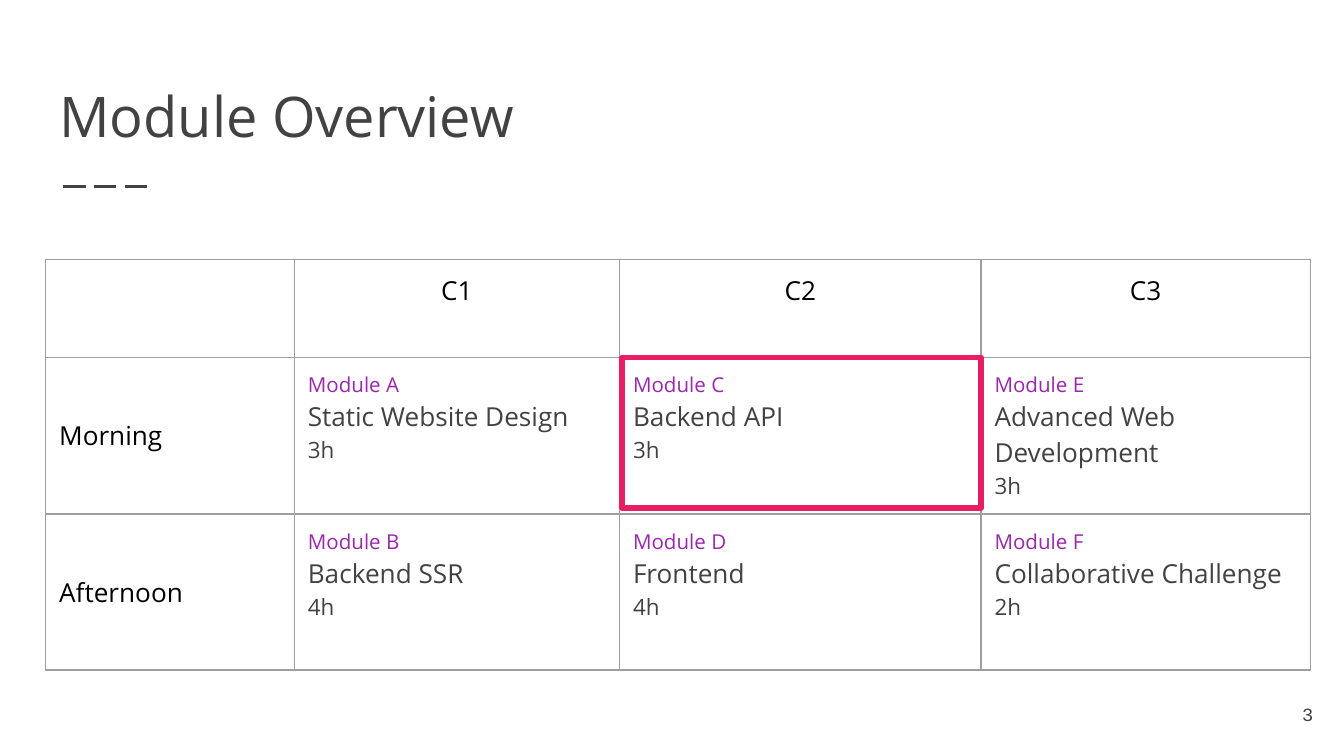
from lxml import etree
from pptx import Presentation
from pptx import util as u
from pptx.dml.color import RGBColor
from pptx.enum import dml, shapes, text
from pptx.oxml import ns

COLORS = {"ink": "424242", "black": "000000", "module": "9C26B0",
          "grid": "9E9E9E", "highlight": "E91D63"}
FONT = "Open Sans"
COURSES = ["C1", "C2", "C3"]
SCHEDULE = {
    "Morning": [("Module A", "Static Website Design", "3h"),
                ("Module C", "Backend API", "3h"),
                ("Module E", "Advanced Web Development", "3h")],
    "Afternoon": [("Module B", "Backend SSR", "4h"),
                  ("Module D", "Frontend", "4h"),
                  ("Module F", "Collaborative Challenge", "2h")],
}
COLUMN_WIDTHS = [1.85, 2.42, 2.69, 2.45]
ROW_HEIGHTS = [0.73, 1.16, 1.16]


def rgb(name):
    """Return the named colour."""
    return RGBColor.from_string(COLORS[name])


def format_paragraph(paragraph, size, color, font=FONT, align=text.PP_ALIGN.LEFT):
    """Format every run of a paragraph."""
    paragraph.alignment = align
    for run in paragraph.runs:
        run.font.size = u.Pt(size)
        run.font.name = font
        run.font.color.rgb = rgb(color)


def set_insets(frame):
    """Give a text frame or table cell equal margins."""
    frame.margin_left = frame.margin_right = u.Inches(0.1)
    frame.margin_top = frame.margin_bottom = u.Inches(0.1)


def remove_shadow(connector):
    """Override the theme shadow of a connector."""
    etree.SubElement(connector._element.spPr, ns.qn("a:effectLst"))


def format_cell(cell):
    """Clear the fill of a cell and draw its four borders."""
    set_insets(cell)
    cell.fill.background()
    properties = cell._tc.get_or_add_tcPr()
    for position, side in enumerate(["lnL", "lnR", "lnT", "lnB"]):
        border = etree.Element(ns.qn(f"a:{side}"), w=str(u.Pt(0.75)))
        fill = etree.SubElement(border, ns.qn("a:solidFill"))
        etree.SubElement(fill, ns.qn("a:srgbClr"), val=COLORS["grid"])
        properties.insert(position, border)


def add_heading(slide, left, top, width, height):
    """Place the title and the dashed rule below it."""
    title = slide.shapes.title
    title.left, title.top = u.Inches(left), u.Inches(top)
    title.width, title.height = u.Inches(width), u.Inches(height)
    frame = title.text_frame
    frame.text = "Module Overview"
    frame.auto_size = text.MSO_AUTO_SIZE.NONE
    frame.vertical_anchor = text.MSO_ANCHOR.BOTTOM
    set_insets(frame)
    format_paragraph(frame.paragraphs[0], 30, "ink")

    rule_y = u.Inches(top + height + 0.18)
    rule = slide.shapes.add_connector(
        shapes.MSO_CONNECTOR.STRAIGHT, u.Inches(left + 0.13), rule_y,
        u.Inches(left + 0.8), rule_y)
    rule.line.color.rgb = rgb("ink")
    rule.line.width = u.Pt(1.5)
    rule.line.dash_style = dml.MSO_LINE.LONG_DASH
    remove_shadow(rule)


def add_schedule(slide, left, top):
    """Place the timetable and outline the current module."""
    schedule = slide.shapes.add_table(
        len(ROW_HEIGHTS), len(COLUMN_WIDTHS), u.Inches(left), u.Inches(top),
        u.Inches(sum(COLUMN_WIDTHS)), u.Inches(sum(ROW_HEIGHTS))).table
    schedule.first_row = schedule.horz_banding = False
    for column, width in zip(schedule.columns, COLUMN_WIDTHS):
        column.width = u.Inches(width)
    for row, height in zip(schedule.rows, ROW_HEIGHTS):
        row.height = u.Inches(height)
    for cell in schedule.iter_cells():
        format_cell(cell)

    for column, course in enumerate(COURSES, 1):
        heading = schedule.cell(0, column).text_frame
        heading.text = course
        format_paragraph(heading.paragraphs[0], 14, "black", align=text.PP_ALIGN.CENTER)

    for row, (session, modules) in enumerate(SCHEDULE.items(), 1):
        label = schedule.cell(row, 0)
        label.text_frame.text = session
        label.vertical_anchor = text.MSO_ANCHOR.MIDDLE
        format_paragraph(label.text_frame.paragraphs[0], 14, "black")
        for column, module in enumerate(modules, 1):
            details = schedule.cell(row, column).text_frame
            details.text = "\n".join(module)
            styles = [(11, "module"), (14, "ink"), (12, "ink")]
            for paragraph, style in zip(details.paragraphs, styles):
                format_paragraph(paragraph, *style)

    highlight = slide.shapes.add_shape(
        shapes.MSO_SHAPE.RECTANGLE, u.Inches(left + sum(COLUMN_WIDTHS[:2]) + 0.02),
        u.Inches(top + ROW_HEIGHTS[0]), u.Inches(2.67), u.Inches(1.12))
    highlight.shadow.inherit = False
    highlight.fill.background()
    highlight.line.color.rgb = rgb("highlight")
    highlight.line.width = u.Pt(3)
    etree.SubElement(highlight.line._get_or_add_ln(), ns.qn("a:round"))


def add_page_number(slide, left, top, width, height):
    """Place the page number in the bottom corner."""
    frame = slide.shapes.add_textbox(
        u.Inches(left), u.Inches(top), u.Inches(width), u.Inches(height)).text_frame
    frame.word_wrap = True
    frame.vertical_anchor = text.MSO_ANCHOR.MIDDLE
    set_insets(frame)
    frame.text = "3"
    format_paragraph(frame.paragraphs[0], 10, "ink", "Courier New", text.PP_ALIGN.RIGHT)


def main():
    """Build and save the module overview."""
    deck = Presentation()
    deck.slide_width = u.Inches(10)
    deck.slide_height = deck.slide_width * 9 // 16
    slide = deck.slides.add_slide(deck.slide_layouts[5])
    add_heading(slide, 0.34, 0.41, 9.32, 0.8)
    add_schedule(slide, 0.34, 1.93)
    add_page_number(slide, 9.27, 5.1, 0.6, 0.43)
    deck.save("out.pptx")


if __name__ == "__main__":
    main()
